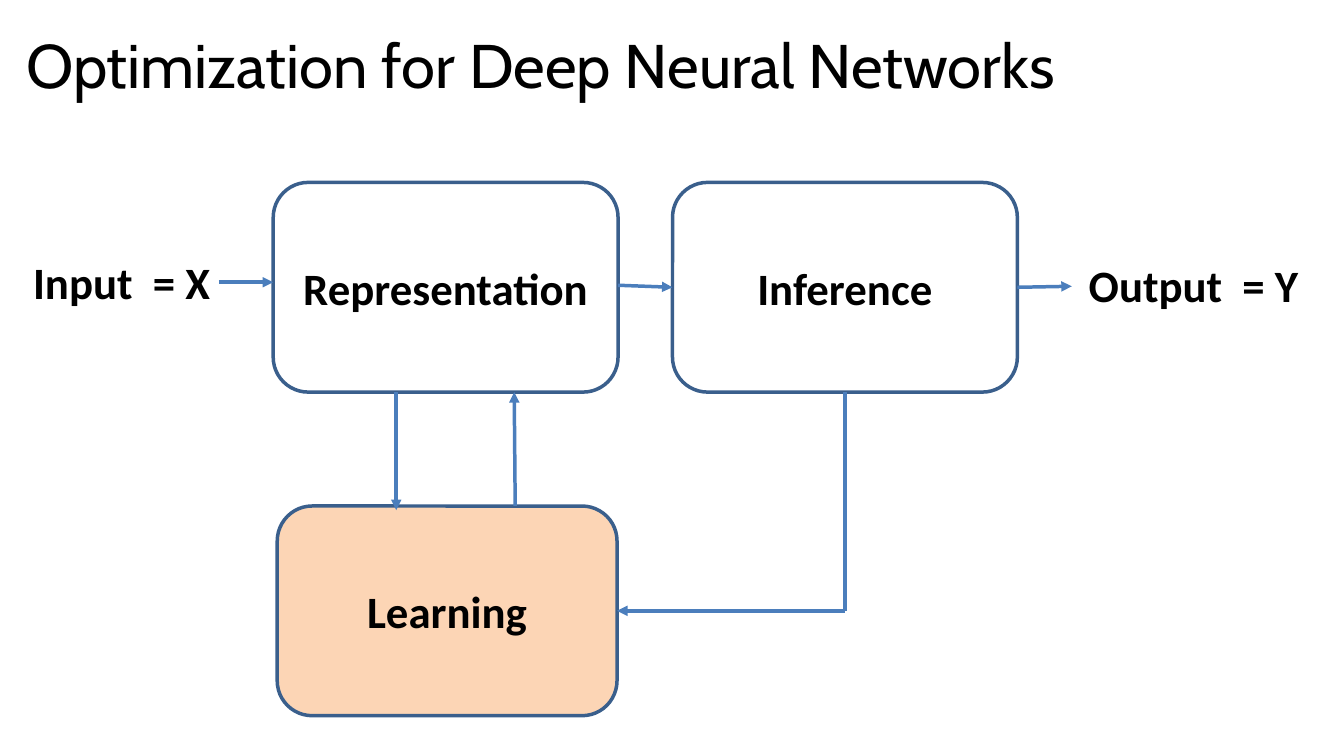
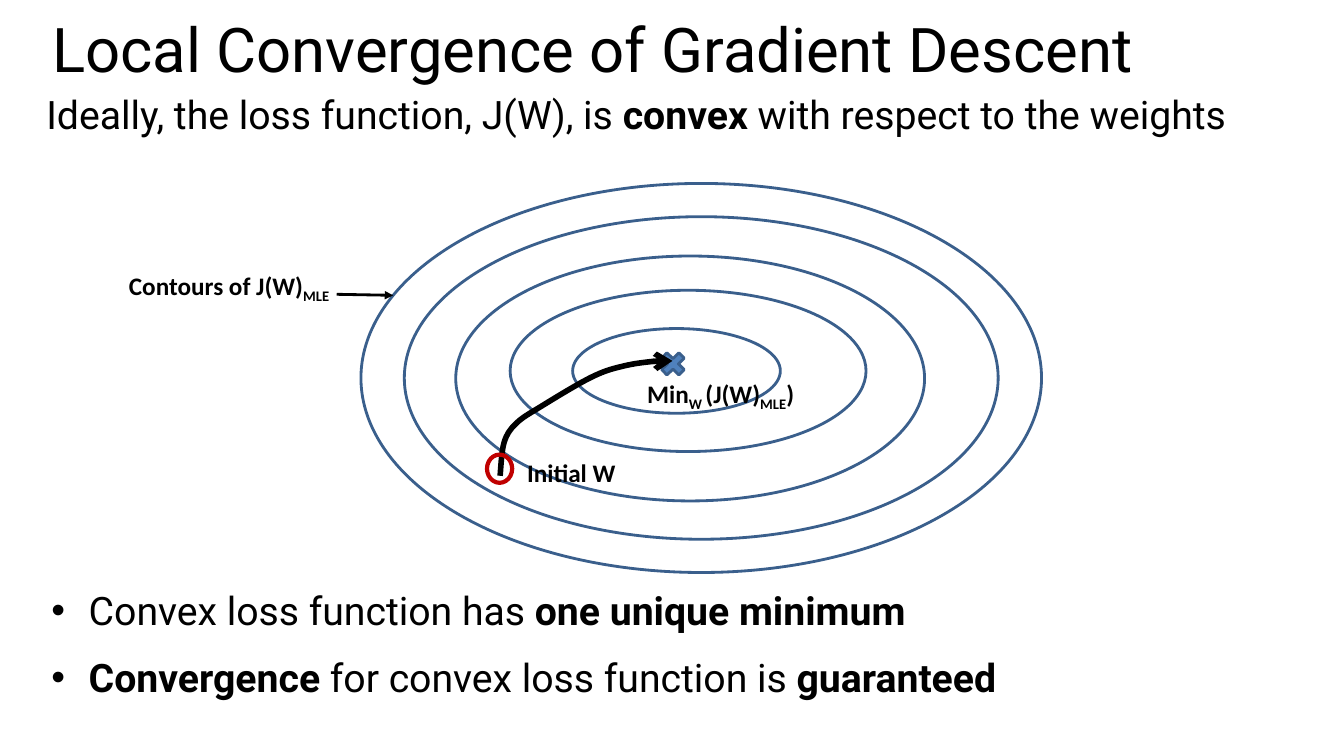
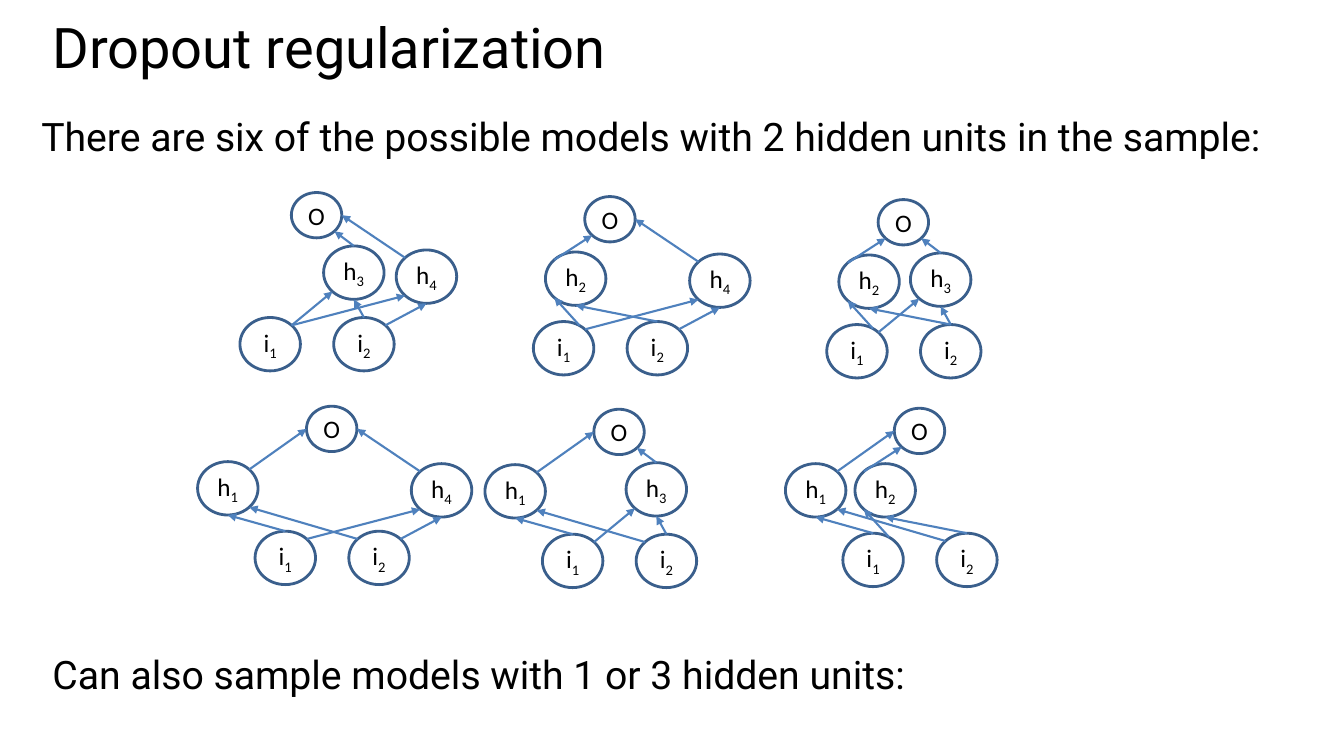
import math
import pptx
import pptx.util
import pptx.dml.color
import pptx.enum.shapes
import pptx.enum.text
import pptx.oxml.ns

Inches = pptx.util.Inches
Pt = pptx.util.Pt
qn = pptx.oxml.ns.qn
SHAPE = pptx.enum.shapes.MSO_SHAPE
LINE = pptx.enum.shapes.MSO_CONNECTOR.STRAIGHT
ANCHOR = pptx.enum.text.MSO_ANCHOR
ALIGN = pptx.enum.text.PP_ALIGN
FIXED = pptx.enum.text.MSO_AUTO_SIZE.NONE

colors = {
    "text": "000000",
    "outline": "3A5F8C",
    "flow": "4B7EBC",
    "accent": "4F81BD",
    "learning": "FCD5B5",
    "start": "C00000",
}

top_frame = {"word_wrap": True, "auto_size": FIXED, "vertical_anchor": ANCHOR.TOP}
middle_frame = {"word_wrap": True, "vertical_anchor": ANCHOR.MIDDLE}
node_frame = {**middle_frame, "word_wrap": False, "margin_left": 0, "margin_right": 0}
title_paragraph = {"alignment": ALIGN.LEFT, "line_spacing": 0.8}
body_paragraph = {"alignment": ALIGN.LEFT, "space_before": Pt(14), "line_spacing": 1.0}
centered = {"alignment": ALIGN.CENTER}
title_font = {"name": "Roboto", "size": Pt(44)}
body_font = {"name": "Roboto", "size": Pt(28), "bold": False}
block_font = {"name": "Calibri", "size": Pt(32), "bold": True}
note_font = {"name": "Calibri", "size": Pt(18), "bold": True}
node_font = {"name": "Calibri", "size": Pt(18)}
styles = {
    "title": {"frame": top_frame, "paragraph": title_paragraph, "font": title_font},
    "body": {"frame": top_frame, "paragraph": body_paragraph, "font": body_font, "indent": 0},
    "list": {"frame": top_frame, "paragraph": body_paragraph, "font": body_font, "indent": 0.37},
    "block": {"frame": middle_frame, "paragraph": centered, "font": block_font},
    "label": {"frame": top_frame, "paragraph": {}, "font": block_font},
    "note": {"frame": top_frame, "paragraph": {}, "font": note_font},
    "node": {"frame": node_frame, "paragraph": centered, "font": node_font},
}
bold = {"bold": True}
subscript = {"baseline": "-25000"}


def write(shape, style_name, *paragraphs):
    style = styles[style_name]
    frame = shape.text_frame
    for name, value in style["frame"].items():
        setattr(frame, name, value)
    for index, runs in enumerate(paragraphs):
        paragraph = frame.add_paragraph() if index else frame.paragraphs[0]
        for name, value in style["paragraph"].items():
            setattr(paragraph, name, value)
        if "indent" in style:
            properties = paragraph._p.get_or_add_pPr()
            properties.set("marL", str(Inches(style["indent"])))
            properties.set("indent", str(-Inches(style["indent"])))
            tag, attributes = ("a:buChar", {"char": "•"}) if style["indent"] else ("a:buNone", {})
            properties.append(properties.makeelement(qn(tag), attributes))
        for text, changes in runs:
            run = paragraph.add_run()
            run.text = text
            run.font.color.rgb = pptx.dml.color.RGBColor.from_string(colors["text"])
            for name, value in {**style["font"], **changes}.items():
                if name == "baseline":
                    run._r.get_or_add_rPr().set(name, value)
                else:
                    setattr(run.font, name, value)


def paint(shape, line, width, fill=None, arrow=None):
    if fill:
        shape.fill.solid()
        shape.fill.fore_color.rgb = pptx.dml.color.RGBColor.from_string(colors[fill])
    elif hasattr(shape, "fill"):
        shape.fill.background()
    shape.line.color.rgb = pptx.dml.color.RGBColor.from_string(colors[line])
    shape.line.width = Pt(width)
    properties = shape._element.spPr
    if arrow:
        outline = properties.find(qn("a:ln"))
        outline.append(outline.makeelement(qn("a:tailEnd"), {"type": arrow}))
    properties.append(properties.makeelement(qn("a:effectLst")))


presentation = pptx.Presentation()
presentation.slide_width = Inches(13.33)
presentation.slide_height = Inches(7.5)

title_only, two_content = presentation.slide_layouts[5], presentation.slide_layouts[3]
slide_contents = [
    (title_only, [
        ("title", (0.16, 0.36, 13.02, 0.75),
         [[("Optimization for Deep Neural Networks", {"name": "Cabin"})]]),
    ]),
    (two_content, [
        ("title", (0.42, 0.2, 12.6, 0.84), [[("Local Convergence of Gradient Descent", {})]]),
        ("body", (0.36, 0.85, 12.6, 0.73), [[
            ("Ideally, the loss function, J(W), is ", {}),
            ("convex ", bold),
            ("with respect to the weights", {}),
        ]]),
        ("list", (0.41, 5.77, 12.6, 0.92), [
            [("Convex loss function has ", {}), ("one unique minimum", bold)],
            [("Convergence", bold), (" for convex loss function is ", {}), ("guaranteed", bold)],
        ]),
    ]),
    (two_content, [
        ("title", (0.42, 0.2, 12.6, 1.16), [[("Dropout regularization", {"size": Pt(40)})]]),
        ("body", (0.31, 1.06, 12.6, 0.56),
         [[("There are six of the possible models with 2 hidden units in the sample:", {})]]),
        ("body", (0.42, 6.4, 12.6, 0.56),
         [[("Can also sample models with 1 or 3 hidden units:", {})]]),
    ]),
]
for layout, contents in slide_contents:
    slide = presentation.slides.add_slide(layout)
    for placeholder, (style_name, box, paragraphs) in zip(slide.placeholders, contents):
        for name, value in zip(("left", "top", "width", "height"), box):
            setattr(placeholder, name, Inches(value))
        write(placeholder, style_name, *paragraphs)

pipeline_slide, convergence_slide, dropout_slide = presentation.slides

block_width, block_height, block_gap = 3.42, 2.08, 0.54
block_top, learning_top = 1.81, 5.02
block_bottom = block_top + block_height
representation_left = 2.71
representation_right = representation_left + block_width
inference_left = representation_right + block_gap
inference_right = inference_left + block_width
inference_center = inference_left + block_width / 2
learning_left, learning_width = 2.75, 3.37
learning_right = learning_left + learning_width
learning_middle = learning_top + block_height / 2

blocks = [
    ("Representation", representation_left, block_top, block_width, None),
    ("Inference", inference_left, block_top, block_width, None),
    ("Learning", learning_left, learning_top, learning_width, "learning"),
]
for text, left, top, width, fill in blocks:
    box = map(Inches, (left, top, width, block_height))
    block = pipeline_slide.shapes.add_shape(SHAPE.ROUNDED_RECTANGLE, *box)
    paint(block, "outline", 2.5, fill)
    write(block, "block", [(text, {})])

flows = [
    ((representation_left - block_gap, 2.8), (representation_left, 2.8), "triangle"),
    ((representation_right, 2.83), (inference_left, 2.85), "triangle"),
    ((inference_right, 2.85), (inference_right + block_gap, 2.84), "triangle"),
    ((3.93, block_bottom), (3.93, 5.06), "triangle"),
    ((5.11, learning_top), (5.1, block_bottom), "triangle"),
    ((inference_center, block_bottom), (inference_center, learning_middle), None),
    ((inference_center, learning_middle), (learning_right, learning_middle), "triangle"),
]
for start, end, arrow in flows:
    flow = pipeline_slide.shapes.add_connector(LINE, *map(Inches, start + end))
    paint(flow, "flow", 2.5, arrow=arrow)

contours = [
    (3.58, 1.82, 6.75, 3.86),
    (4.01, 2.15, 5.89, 3.2),
    (4.52, 2.54, 4.65, 2.43),
    (5.06, 2.88, 3.53, 1.6),
    (5.68, 3.26, 2.06, 0.84),
]
for box in contours:
    contour = convergence_slide.shapes.add_shape(SHAPE.OVAL, *map(Inches, box))
    paint(contour, "outline", 2)

minimum_box = map(Inches, (6.51, 3.45, 0.33, 0.32))
minimum = convergence_slide.shapes.add_shape(SHAPE.MATH_MULTIPLY, *minimum_box)
paint(minimum, "outline", 2, "accent")

descent_steps = [
    (4.96, 4.72), (5, 4.39), (5.12, 4.2), (5.37, 4.03),
    (5.87, 3.74), (6.19, 3.63), (6.53, 3.58), (6.67, 3.58),
]
padded_steps = [descent_steps[0], *descent_steps, descent_steps[-1]]
curve_points = []
for before, start, end, after in zip(*[padded_steps[shift:] for shift in range(4)]):
    leaving = [s + (e - b) / 6 for b, s, e in zip(before, start, end)]
    arriving = [e - (a - s) / 6 for s, e, a in zip(start, end, after)]
    curve_points += [leaving, arriving, end]
builder = convergence_slide.shapes.build_freeform(*map(Inches, descent_steps[0]), scale=1.0)
builder.add_line_segments([(Inches(x), Inches(y)) for x, y in curve_points], close=False)
descent = builder.convert_to_shape()
paint(descent, "text", 4, arrow="arrow")
segments = list(descent._element.iter(qn("a:lnTo")))
for index in range(0, len(segments), 3):
    curve = segments[index].makeelement(qn("a:cubicBezTo"))
    segments[index].addprevious(curve)
    for segment in segments[index:index + 3]:
        curve.append(segment[0])
        segment.getparent().remove(segment)

initial_box = map(Inches, (4.83, 4.51, 0.25, 0.28))
initial_mark = convergence_slide.shapes.add_shape(SHAPE.OVAL, *initial_box)
paint(initial_mark, "start", 3)
contour_ends = map(Inches, (3.34, 2.92, 3.9, 2.93))
contour_pointer = convergence_slide.shapes.add_connector(LINE, *contour_ends)
paint(contour_pointer, "text", 2, arrow="triangle")

labels = [
    (pipeline_slide, "label", (0.23, 2.48, 2.04, 0.64), [("Input  = X", {})]),
    (pipeline_slide, "label", (10.7, 2.51, 2.43, 0.64), [("Output  = Y", {})]),
    (convergence_slide, "note", (6.32, 3.7, 2.38, 0.4), [
        ("Min", {}), ("W ", subscript), ("(J(W)", {}), ("MLE", subscript), (")", {}),
    ]),
    (convergence_slide, "note", (5.13, 4.49, 2.38, 0.4), [("Initial W", {})]),
    (convergence_slide, "note", (1.18, 2.63, 2.38, 0.4),
     [("Contours of J(W)", {}), ("MLE", subscript)]),
]
for slide, style_name, box, runs in labels:
    label = slide.shapes.add_textbox(*map(Inches, box))
    write(label, style_name, runs)

output_size, unit_size = (0.5, 0.45), (0.6, 0.53)
node_offsets = {
    "O": (0, 0),
    "h1": (-1.08, 0.55),
    "h2": (-0.39, 0.55),
    "h3": (0.32, 0.53),
    "h4": (1.04, 0.57),
    "i1": (-0.51, 1.24),
    "i2": (0.42, 1.24),
}
site_angles = {
    "right": 0,
    "top right": 45,
    "upper right": 58,
    "top": 90,
    "top left": 135,
    "left": 180,
    "bottom left": 225,
    "bottom": 270,
    "bottom right": 315,
}
hidden_edges = {
    "h1": [
        ("h1", "top right", "O", "left"),
        ("i1", "top", "h1", "bottom"),
        ("i2", "top left", "h1", "bottom right"),
    ],
    "h2": [
        ("h2", "top left", "O", "bottom left"),
        ("i1", "upper right", "h2", "bottom left"),
        ("i2", "top", "h2", "bottom"),
    ],
    "h3": [
        ("h3", "top", "O", "bottom right"),
        ("i1", "top right", "h3", "bottom left"),
        ("i2", "top", "h3", "bottom"),
    ],
    "h4": [
        ("h4", "top left", "O", "right"),
        ("i1", "top right", "h4", "bottom left"),
        ("i2", "top right", "h4", "bottom"),
    ],
}
models = [
    (2.89, 1.91, ("h3", "h4")),
    (5.8, 1.95, ("h2", "h4")),
    (8.71, 1.98, ("h2", "h3")),
    (3.04, 4.03, ("h1", "h4")),
    (5.89, 4.06, ("h1", "h3")),
    (8.87, 4.05, ("h1", "h2")),
]
for model_left, model_top, hidden_names in models:
    sites = {}
    for name in ("O", "i1", "i2", *hidden_names):
        width, height = output_size if name == "O" else unit_size
        left = model_left + node_offsets[name][0]
        top = model_top + node_offsets[name][1]
        box = map(Inches, (left, top, width, height))
        node = dropout_slide.shapes.add_shape(SHAPE.OVAL, *box)
        paint(node, "outline", 2)
        index_runs = [(name[1:], subscript)] if name[1:] else []
        write(node, "node", [(name[0], {}), *index_runs])
        for site, angle in site_angles.items():
            across = math.cos(math.radians(angle))
            up = math.sin(math.radians(angle))
            sites[name, site] = (left + width * (1 + across) / 2, top + height * (1 - up) / 2)
    for hidden_name in hidden_names:
        for source, source_site, target, target_site in hidden_edges[hidden_name]:
            ends = sites[source, source_site] + sites[target, target_site]
            edge = dropout_slide.shapes.add_connector(LINE, *map(Inches, ends))
            paint(edge, "accent", 1.5, arrow="triangle")

presentation.save("out.pptx")
